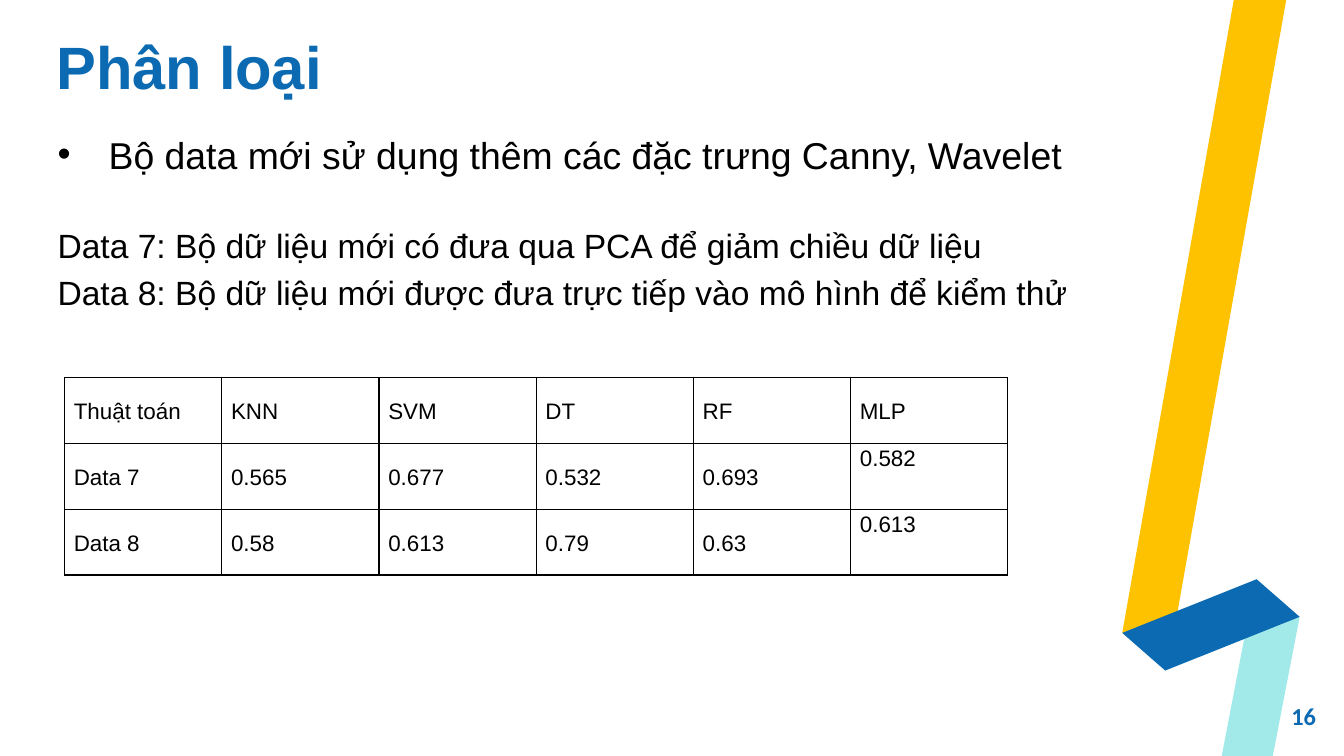
from lxml import etree
from pptx import Presentation
from pptx.dml.color import RGBColor
from pptx.enum.text import MSO_ANCHOR, PP_ALIGN
from pptx.oxml.ns import qn
from pptx.util import Emu, Inches, Pt

LEFT, RIGHT, JUST = PP_ALIGN.LEFT, PP_ALIGN.RIGHT, PP_ALIGN.JUSTIFY
TOP, MID, BASE = MSO_ANCHOR.TOP, MSO_ANCHOR.MIDDLE, MSO_ANCHOR.BOTTOM
UNIT = Inches(0.1)  # the slide is a grid of 100 columns by 56.25 rows
COLS, ROWS = 100, 56.25
BLUE, GOLD, AQUA, BLACK = "0B6AB1", "FEC200", "A2EAE9", "000000"

HEAD = ["Thuật toán", "KNN", "SVM", "DT", "RF", "MLP"]
DATA = [
    ["Data 7", "0.565", "0.677", "0.532", "0.693", "0.582"],
    ["Data 8", "0.58", "0.613", "0.79", "0.63", "0.613"],
]
POINT = "Bộ data mới sử dụng thêm các đặc trưng Canny, Wavelet"
NOTES = [
    ("Data 7: Bộ dữ liệu mới có đưa qua PCA để giảm chiều dữ liệu", 24),
    ("Data 8: Bộ dữ liệu mới được đưa trực tiếp vào mô hình để kiểm thử", 1.3),
]


def grid(*vals):
    return [Emu(round(v * UNIT)) for v in vals]


def color(code):
    return RGBColor.from_string(code)


def apply(obj, **vals):
    for key, val in vals.items():
        setattr(obj, key, val)


def write(para, text, size, code=BLACK, bold=False, face="Arial", **form):
    """Put one run of text in a paragraph."""
    apply(para, **form)
    font = para.add_run().font
    para.runs[0].text = text
    apply(font, name=face, size=Pt(size), bold=bold)
    font.color.rgb = color(code)


def frame(slide, box, anchor=TOP, pad=(0, 0, 0, 0)):
    """Add a wrapping text box and return its text frame."""
    text = slide.shapes.add_textbox(*grid(*box)).text_frame
    left, top, right, base = grid(*pad)
    apply(text, word_wrap=True, vertical_anchor=anchor, margin_left=left,
          margin_top=top, margin_right=right, margin_bottom=base)
    return text


def ribbon(slide, box):
    """Folded ribbon; corners are offsets from the box."""
    left, top, wide, high = box
    fold, tip = (0, 47.1), (wide, 45.9)
    bands = [
        (GOLD, [(8.3, 0), (12.2, 0), (4.1, 45.6), fold]),
        (AQUA, [(7.4, high), (9.1, 47.4), tip, (11.2, high)]),
        (BLUE, [fold, (10, 43.1), tip, (3.2, 49.9)]),
    ]
    group = slide.shapes.add_group_shape()
    for code, spots in bands:
        spots = [grid(left + x, top + y) for x, y in spots]
        path = group.shapes.build_freeform(*spots[0])
        path.add_line_segments(spots[1:], close=True)
        band = path.convert_to_shape()
        band.shadow.inherit = False
        band.fill.solid()
        band.fill.fore_color.rgb = color(code)
        band.line.fill.background()


def title(slide, box):
    text = frame(slide, box, BASE)
    write(text.paragraphs[0], "Phân loại", 32, BLUE, True,
          alignment=LEFT, line_spacing=0.8)


def number(slide, box):
    text = frame(slide, box, MID)
    write(text.paragraphs[0], "16", 13, BLUE, True, "Calibri", alignment=RIGHT)


def body(slide, box):
    """One bulleted point, then the notes on the data sets."""
    text = frame(slide, box, pad=(1, 4.5, 1, 0.5))
    para = text.paragraphs[0]
    write(para, POINT, 20, alignment=LEFT)
    props = para._p.get_or_add_pPr()
    props.set("marL", str(Inches(0.38)))
    props.set("indent", str(-Inches(0.38)))
    etree.SubElement(props, qn("a:buFont"), typeface="Arial")
    etree.SubElement(props, qn("a:buChar"), char="•")
    for line, gap in NOTES:
        write(text.add_paragraph(), line, 18, alignment=JUST,
              line_spacing=1.1, space_before=Pt(gap))


def border(cell):
    props = cell._tc.get_or_add_tcPr()
    for side in ("lnL", "lnR", "lnT", "lnB"):
        line = etree.SubElement(props, qn("a:" + side), w=str(Pt(0.75)))
        fill = etree.SubElement(line, qn("a:solidFill"))
        etree.SubElement(fill, qn("a:srgbClr"), val=BLACK)


def scores(slide, box):
    """Table of scores by method; cells share the box evenly."""
    rows = [HEAD] + DATA
    table = slide.shapes.add_table(len(rows), len(HEAD), *grid(*box)).table
    apply(table, first_row=False, horz_banding=False)
    side, = grid(0.7)
    for r, row in enumerate(rows):
        for c, text in enumerate(row):
            cell = table.cell(r, c)
            high = r > 0 and c == len(HEAD) - 1
            apply(cell, vertical_anchor=TOP if high else MID, margin_left=side,
                  margin_right=side, margin_top=0, margin_bottom=0)
            border(cell)
            cell.fill.background()
            write(cell.text_frame.paragraphs[0], text, 12,
                  alignment=JUST, line_spacing=1.1)


def main():
    deck = Presentation()
    deck.slide_width, deck.slide_height = grid(COLS, ROWS)
    slide = deck.slides.add_slide(deck.slide_layouts[6])
    ribbon(slide, (83.5, 0, 13.2, ROWS))
    number(slide, (91.9, 51.1, 6, 4.3))
    title(slide, (4.2, 3.2, 64.9, 4.3))
    body(slide, (3.3, 5.3, 86.9, 45.8))
    scores(slide, (4.8, 28.1, 70.2, 14.7))
    deck.save("out.pptx")


if __name__ == "__main__":
    main()
